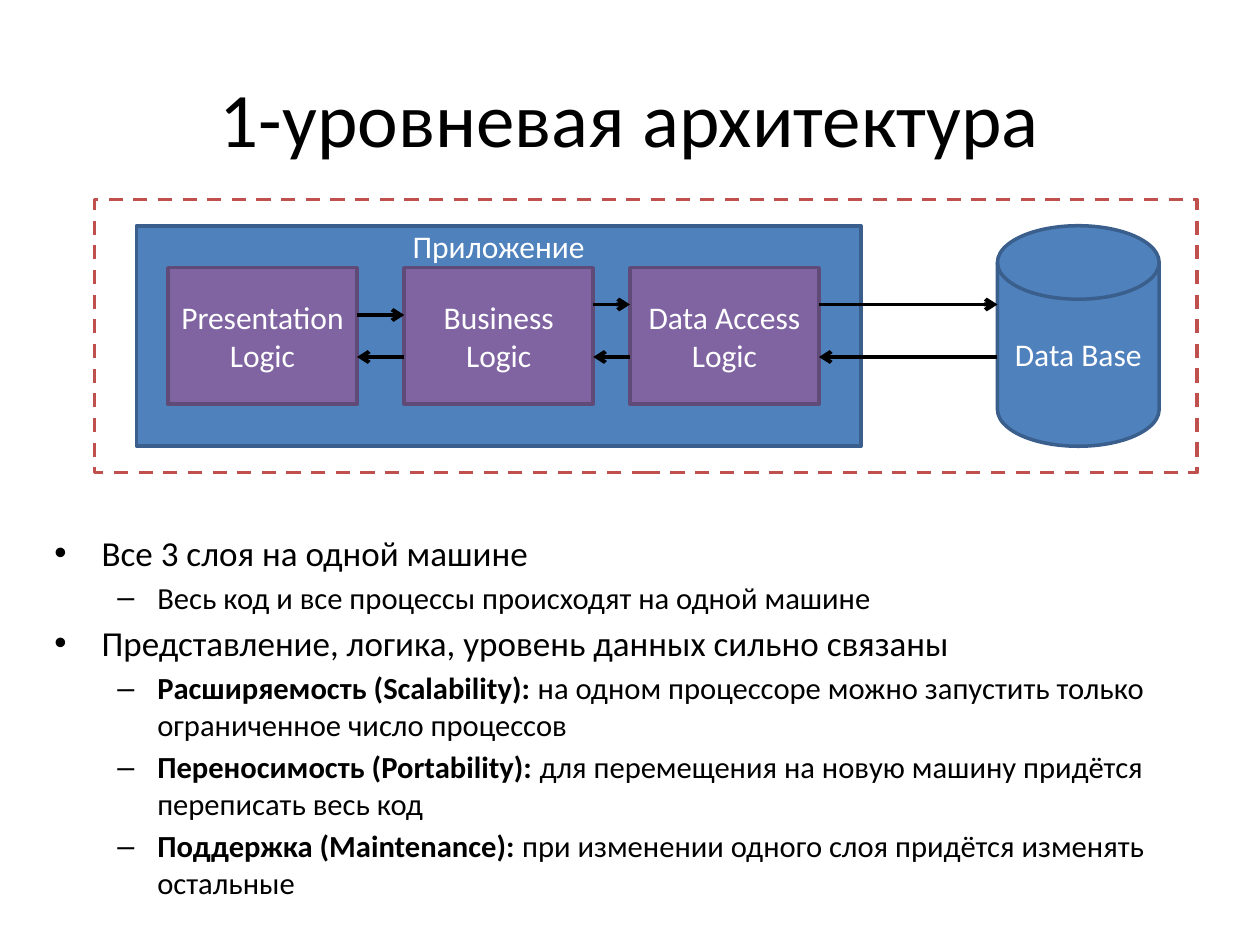
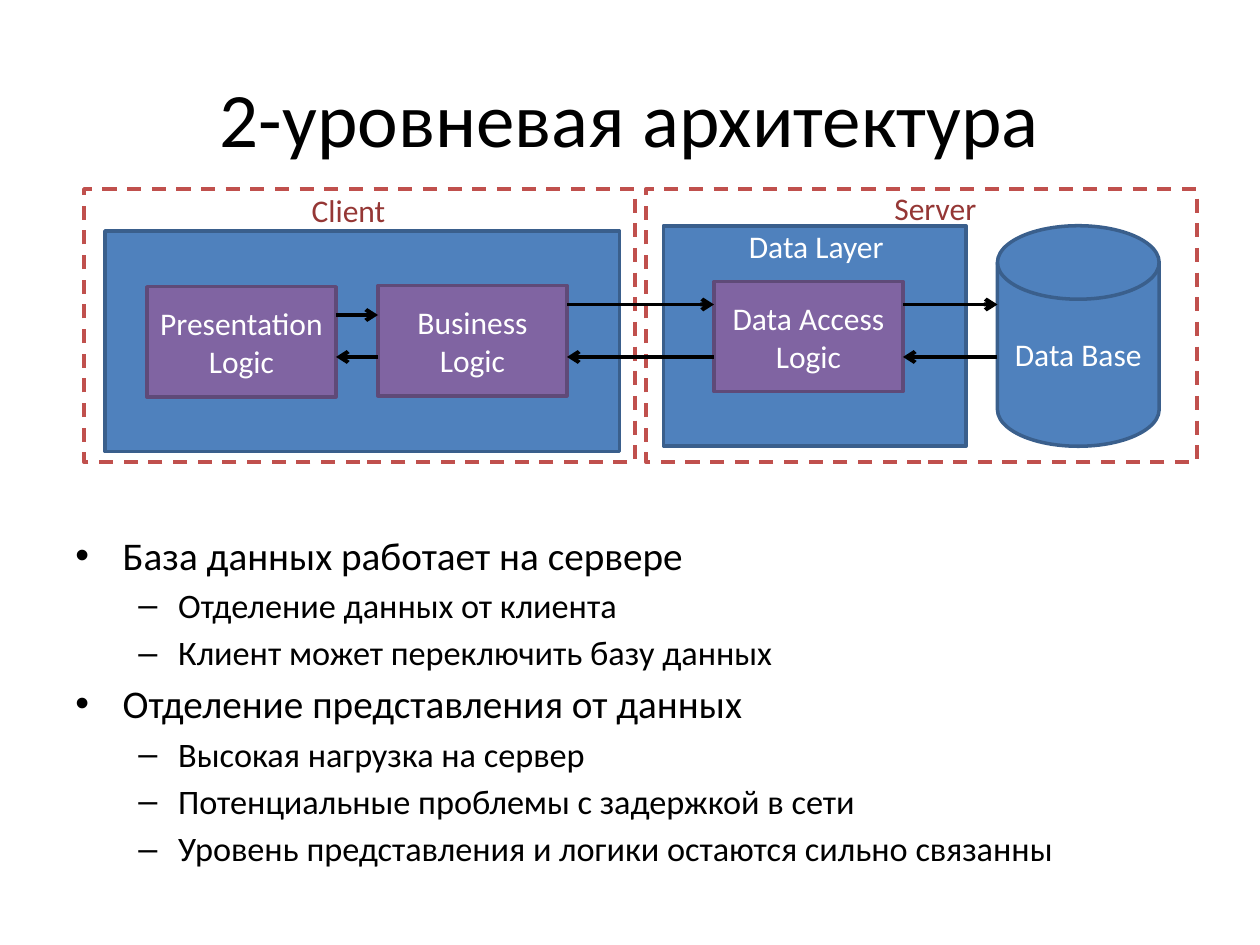
from dataclasses import dataclass

from lxml.etree import SubElement
from pptx import Presentation
from pptx.dml.color import RGBColor
from pptx.enum.dml import MSO_LINE
from pptx.enum.shapes import MSO_CONNECTOR, MSO_SHAPE
from pptx.enum.text import MSO_ANCHOR, PP_ALIGN
from pptx.oxml.ns import qn
from pptx.util import Emu, Pt

PX = 7620  # EMU per px, 120 px to the inch


@dataclass(frozen=True)
class Theme:
    font: str = "Calibri"
    ink: str = "000000"
    paper: str = "FFFFFF"
    blue: str = "4F81BD"
    blue_line: str = "3A5F8C"
    purple: str = "8064A2"
    purple_line: str = "5F4A78"
    red: str = "C0504D"
    dark_red: str = "953735"
    title_size: float = 44
    label_size: float = 18
    outline: float = 2
    arrow: float = 2.25
    space_before: float = 0.18  # share of the type size


THEME = Theme()


@dataclass(frozen=True)
class Box:
    left: int
    top: int
    width: int
    height: int

    @property
    def right(self):
        return self.left + self.width

    def inside(self, left, top, width, height):
        return Box(self.left + left, self.top + top, width, height)

    def emu(self):
        return [Emu(n * PX) for n in (self.left, self.top, self.width, self.height)]


SLIDE = Box(0, 0, 1200, 900)
TITLE = SLIDE.inside(60, 36, 1080, 150)
DIAGRAM = SLIDE.inside(80, 180, 1060, 270)

# Bullets: level, bold lead, text
ONE_TIER_POINTS = [
    (0, "", "Все 3 слоя на одной машине"),
    (1, "", "Весь код и все процессы происходят на одной машине"),
    (0, "", "Представление, логика, уровень данных сильно связаны"),
    (1, "Расширяемость (Scalability):",
     " на одном процессоре можно запустить только ограниченное число процессов"),
    (1, "Переносимость (Portability):",
     " для перемещения на новую машину придётся переписать весь код"),
    (1, "Поддержка (Maintenance): ",
     "при изменении одного слоя придётся изменять остальные"),
]
TWO_TIER_POINTS = [
    (0, "", "База данных работает на сервере"),
    (1, "", "Отделение данных от клиента"),
    (1, "", "Клиент может переключить базу данных"),
    (0, "", "Отделение представления от данных"),
    (1, "", "Высокая нагрузка на сервер"),
    (1, "", "Потенциальные проблемы с задержкой в сети"),
    (1, "", "Уровень представления и логики остаются сильно связанны"),
]


# Text and shape helpers
def add_run(paragraph, text, size=THEME.label_size, color=THEME.ink, bold=False):
    run = paragraph.add_run()
    run.text = text
    run.font.name = THEME.font
    run.font.size = Pt(size)
    run.font.bold = bold
    run.font.color.rgb = RGBColor.from_string(color)


def write(text_frame, text, align=PP_ALIGN.CENTER, anchor=MSO_ANCHOR.TOP, **style):
    text_frame.word_wrap = True
    text_frame.vertical_anchor = anchor
    paragraph = text_frame.paragraphs[0]
    paragraph.alignment = align
    add_run(paragraph, text, **style)


def add_label(slide, box, text, **style):
    write(slide.shapes.add_textbox(*box.emu()).text_frame, text, **style)


def add_block(slide, box, fill, line, text="", kind=MSO_SHAPE.RECTANGLE, dash=None):
    shape = slide.shapes.add_shape(kind, *box.emu())
    shape.shadow.inherit = False
    shape.fill.solid()
    shape.fill.fore_color.rgb = RGBColor.from_string(fill)
    shape.line.color.rgb = RGBColor.from_string(line)
    shape.line.width = Pt(THEME.outline)
    if dash:
        shape.line.dash_style = dash
    if text:
        write(shape.text_frame, text, anchor=MSO_ANCHOR.MIDDLE, color=THEME.paper)
    return box


def add_machine(slide, box):
    add_block(slide, box, THEME.paper, THEME.red, dash=MSO_LINE.DASH)


def add_application(slide, box):
    add_block(slide, box, THEME.blue, THEME.blue_line)


def add_logic(slide, box, text):
    return add_block(slide, box, THEME.purple, THEME.purple_line, text)


def add_database(slide, box):
    return add_block(slide, box, THEME.blue, THEME.blue_line, "Data Base",
                     kind=MSO_SHAPE.FLOWCHART_MAGNETIC_DISK)


def add_arrow(slide, start, end, y):
    connector = slide.shapes.add_connector(
        MSO_CONNECTOR.STRAIGHT, *[Emu(n * PX) for n in (start, y, end, y)])
    connector.line.color.rgb = RGBColor.from_string(THEME.ink)
    connector.line.width = Pt(THEME.arrow)
    SubElement(connector.line._get_or_add_ln(), qn("a:tailEnd"), type="arrow")
    SubElement(connector._element.spPr, qn("a:effectLst"))


def add_exchanges(slide, box, layers):
    """Join neighbouring layers by a request and a reply arrow."""
    for index, (left, right) in enumerate(zip(layers, layers[1:])):
        request_y = 120 if index == 0 else 110
        add_arrow(slide, left.right, right.left, box.top + request_y)
        add_arrow(slide, right.left, left.right, box.top + 160)


# Diagrams
def draw_one_tier(slide, box):
    add_machine(slide, box.inside(10, 10, 1050, 260))
    database = add_database(slide, box.inside(870, 35, 154, 210))
    add_application(slide, box.inside(50, 35, 690, 210))
    layers = [
        add_logic(slide, box.inside(left, 75, 180, 130), f"{name} Logic")
        for left, name in ((80, "Presentation"), (305, "Business"), (520, "Data Access"))
    ]
    add_label(slide, box.inside(70, 30, 650, 48), "Приложение", color=THEME.paper)
    add_exchanges(slide, box, layers + [database])


def draw_two_tier(slide, box):
    for left in (535, 0):
        add_machine(slide, box.inside(left, 0, 525, 260))
    add_application(slide, box.inside(20, 40, 490, 210))
    add_application(slide, box.inside(552, 35, 288, 210))
    layers = [
        add_logic(slide, box.inside(left, top, 180, 105), f"{name} Logic")
        for left, top, name in ((60, 93, "Presentation"), (280, 92, "Business"),
                                (600, 88, "Data Access"))
    ]
    database = add_database(slide, box.inside(870, 35, 154, 210))
    add_exchanges(slide, box, layers + [database])
    add_label(slide, box.inside(570, 30, 255, 48), "Data Layer", color=THEME.paper)
    for left, top, text in ((205, -4, "Client"), (760, -6, "Server")):
        add_label(slide, box.inside(left, top, 110, 48), text,
                  align=PP_ALIGN.LEFT, color=THEME.dark_red)


# Bullet list
def add_bullets(slide, box, points, sizes):
    text_frame = slide.shapes.add_textbox(*box.emu()).text_frame
    text_frame.word_wrap = True
    for index, (level, lead, text) in enumerate(points):
        paragraph = text_frame.paragraphs[0] if index == 0 else text_frame.add_paragraph()
        paragraph.level = level
        paragraph.space_before = Pt(sizes[level] * THEME.space_before)
        indent, hanging, bullet = ((45, 45, "•"), (98, 38, "–"))[level]
        properties = paragraph._p.get_or_add_pPr()
        properties.set("marL", str(indent * PX))
        properties.set("indent", str(-hanging * PX))
        SubElement(properties, qn("a:buFont"), typeface="Arial")
        SubElement(properties, qn("a:buChar"), char=bullet)
        if lead:
            add_run(paragraph, lead, size=sizes[level], bold=True)
        add_run(paragraph, text, size=sizes[level])


def add_architecture_slide(presentation, title, draw_diagram, body, points, sizes):
    slide = presentation.slides.add_slide(presentation.slide_layouts[6])
    add_label(slide, TITLE, title, anchor=MSO_ANCHOR.MIDDLE, size=THEME.title_size)
    add_bullets(slide, body, points, sizes)
    draw_diagram(slide, DIAGRAM)


def main():
    presentation = Presentation()
    presentation.slide_width = Emu(SLIDE.width * PX)
    presentation.slide_height = Emu(SLIDE.height * PX)
    add_architecture_slide(presentation, "1-уровневая архитектура", draw_one_tier,
                           SLIDE.inside(40, 500, 1130, 320), ONE_TIER_POINTS, (20, 17.5))
    add_architecture_slide(presentation, "2-уровневая архитектура", draw_two_tier,
                           SLIDE.inside(60, 500, 1080, 304), TWO_TIER_POINTS, (22.4, 19.6))
    presentation.save("out.pptx")


if __name__ == "__main__":
    main()
